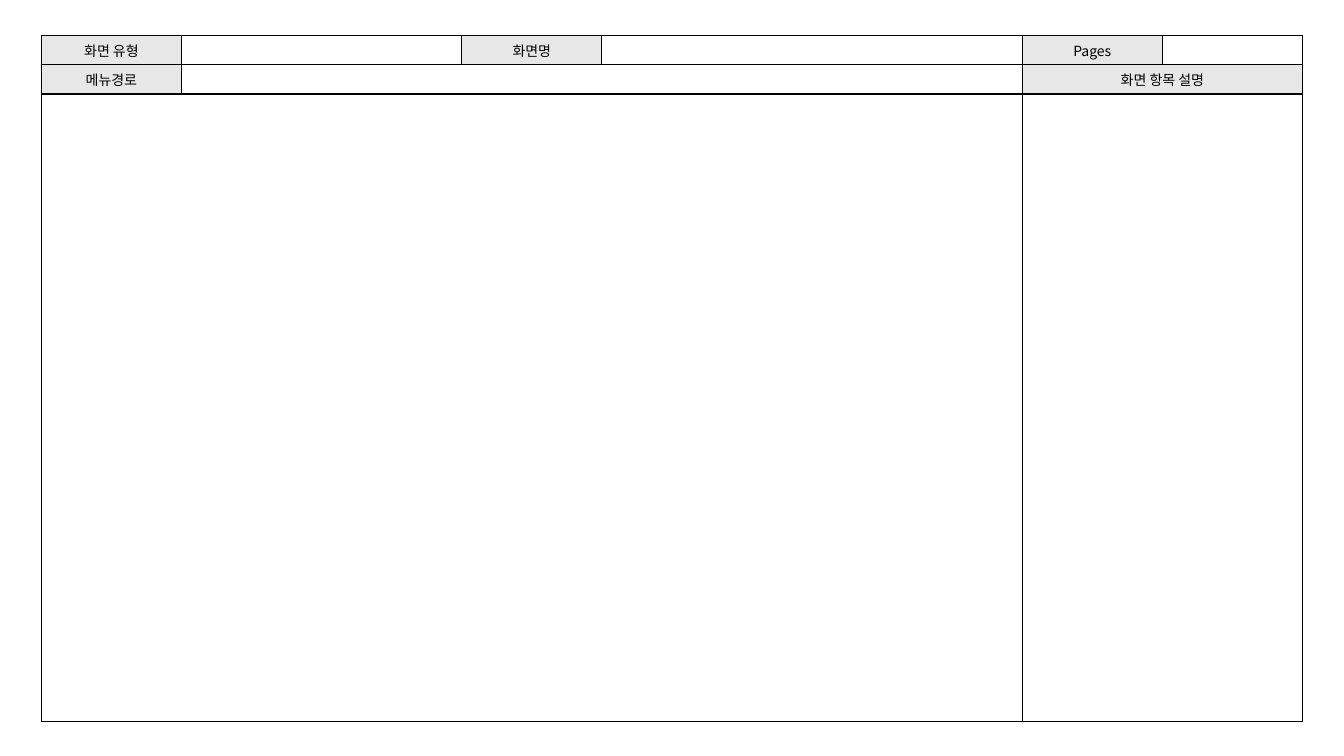
from dataclasses import dataclass

from lxml.etree import SubElement
from pptx import Presentation
from pptx.dml.color import RGBColor
from pptx.enum.text import MSO_ANCHOR, PP_ALIGN
from pptx.oxml.ns import qn
from pptx.util import Pt


@dataclass(frozen=True)
class Theme:
    font: str = "Noto Sans CJK KR"
    size: float = 10
    ink: str = "000000"
    label_fill: str = "E7E7E7"
    field_fill: str = "FFFFFF"
    border_width: float = 1
    inset: float = 0.72


class SlideBuilder:
    def __init__(self, slide, theme):
        self.slide = slide
        self.theme = theme

    def table(self, left, top, widths, heights, labels, merges):
        frame = self.slide.shapes.add_table(
            len(heights), len(widths), Pt(left), Pt(top),
            Pt(sum(widths)), Pt(sum(heights)))
        grid = frame.table
        grid.first_row = grid.horz_banding = False
        for column, width in zip(grid.columns, widths):
            column.width = Pt(width)
        for row, height in zip(grid.rows, heights):
            row.height = Pt(height)
        for row in range(len(heights)):
            for column in range(len(widths)):
                self.cell(grid.cell(row, column), labels.get((row, column)))
        for start, end in merges:
            grid.cell(*start).merge(grid.cell(*end))

    def cell(self, cell, label):
        theme = self.theme
        cell.margin_left = cell.margin_right = cell.margin_top = Pt(theme.inset)
        cell.margin_bottom = Pt(0)
        cell.vertical_anchor = MSO_ANCHOR.MIDDLE
        self.borders(cell)
        cell.fill.solid()
        cell.fill.fore_color.rgb = RGBColor.from_string(
            theme.label_fill if label else theme.field_fill)

        paragraph = cell.text_frame.paragraphs[0]
        paragraph.alignment = PP_ALIGN.CENTER
        if label:
            paragraph.text = label
            self.format_run(paragraph.runs[0])
        else:
            # Small type keeps an empty cell from stretching its row
            SubElement(paragraph._p, qn("a:endParaRPr"),
                       sz=str(int(theme.size * 100)))

    def format_run(self, run):
        run.font.size = Pt(self.theme.size)
        run.font.color.rgb = RGBColor.from_string(self.theme.ink)
        run.font.name = self.theme.font
        SubElement(run.font._element, qn("a:ea"), typeface=self.theme.font)

    def borders(self, cell):
        properties = cell._tc.get_or_add_tcPr()
        for side in ("a:lnL", "a:lnR", "a:lnT", "a:lnB"):
            line = SubElement(properties, qn(side),
                              w=str(Pt(self.theme.border_width)))
            fill = SubElement(line, qn("a:solidFill"))
            SubElement(fill, qn("a:srgbClr"), val=self.theme.ink)


presentation = Presentation()
presentation.slide_width = Pt(960)
presentation.slide_height = Pt(540)
blank_layout = presentation.slide_layouts[6]
builder = SlideBuilder(presentation.slides.add_slide(blank_layout), Theme())

# Screen specification form: two header rows above canvas and description
unit = 100.1
builder.table(
    left=29.5, top=25.2,
    widths=[unit * share for share in (1, 2, 1, 3, 1, 1)],
    heights=[21, 21, 448],
    labels={
        (0, 0): "화면 유형",
        (0, 2): "화면명",
        (0, 4): "Pages",
        (1, 0): "메뉴경로",
        (1, 4): "화면 항목 설명",
    },
    merges=[
        ((1, 1), (1, 3)),
        ((1, 4), (1, 5)),
        ((2, 0), (2, 3)),
        ((2, 4), (2, 5)),
    ],
)

presentation.save("out.pptx")
